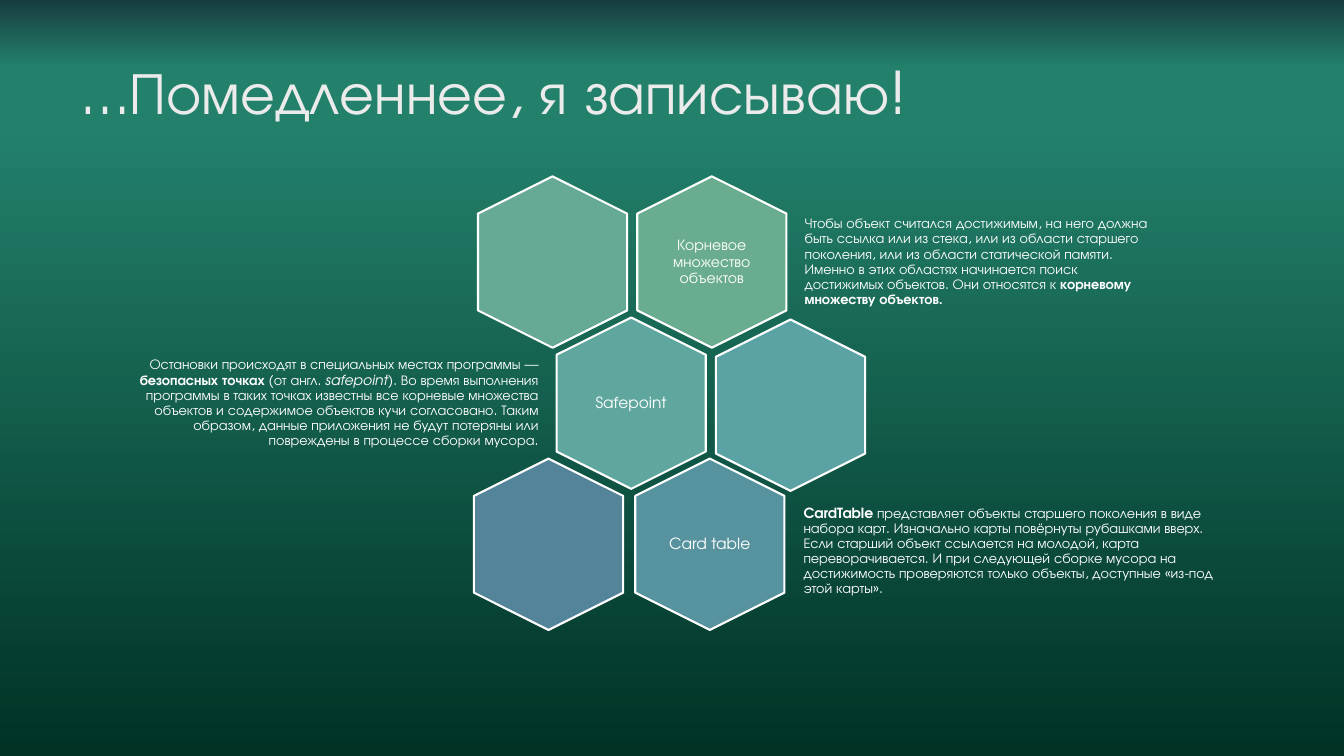
from copy import deepcopy
from pptx import Presentation
from pptx.dml.color import RGBColor
from pptx.enum.shapes import MSO_SHAPE
from pptx.enum.text import MSO_ANCHOR, MSO_AUTO_SIZE, PP_ALIGN
from pptx.oxml.ns import qn
from pptx.util import Inches, Pt

HUES = {
    "night": "173D40", "jade": "23816B", "deep": "003226",
    "title": "EBEBEB", "white": "FFFFFF",
    "root": "6AAC90", "sage": "65A996", "safe": "5FA79E",
    "aqua": "5AA2A4", "card": "57939F", "slate": "54849A",
}
WIDE, HIGH = 1.7, 1.48
TOP, STEP = 1.86, 1.4

HEXES = [
    (6.21, TOP, "root", "Корневое множество объектов"),
    (4.63, TOP, "sage", ""),
    (5.41, TOP + STEP, "safe", "Safepoint"),
    (6.99, TOP + STEP + 0.02, "aqua", ""),
    (6.19, TOP + 2 * STEP, "card", "Card table"),
    (4.59, TOP + 2 * STEP, "slate", ""),
]

NOTES = [
    (7.94, 2.09, 3.55, PP_ALIGN.LEFT, [
        ("Чтобы объект считался достижимым, на него должна быть ссылка или из стека, "
         "или из области старшего поколения, или из области статической памяти. "
         "Именно в этих областях начинается поиск достижимых объектов. "
         "Они относятся к ", ""),
        ("корневому множеству объектов.", "b")]),
    (1.16, 3.49, 4.22, PP_ALIGN.RIGHT, [
        ("Остановки происходят в специальных местах программы — ", ""),
        ("безопасных точках", "b"),
        (" (от англ. ", ""),
        ("safepoint", "i"),
        ("). Во время выполнения программы в таких точках известны все корневые "
         "множества объектов и содержимое объектов кучи согласовано. Таким образом, "
         "данные приложения не будут потеряны или повреждены в процессе сборки "
         "мусора.", "")]),
    (7.93, 4.96, 4.28, PP_ALIGN.LEFT, [
        ("CardTable ", "b"),
        ("представляет объекты старшего поколения в виде набора карт. Изначально "
         "карты повёрнуты рубашками вверх. Если старший объект ссылается на молодой, "
         "карта переворачивается. И при следующей сборке мусора на достижимость "
         "проверяются только объекты, доступные «из-под этой карты».", "")]),
]


class Deck:
    """Holds the style and the current slide."""

    font = "TeX Gyre Adventor"

    def __init__(self):
        self.show = Presentation()
        self.show.slide_width = Inches(13.33)
        self.show.slide_height = Inches(7.5)
        self.slide = self.show.slides.add_slide(self.show.slide_layouts[5])

    def tint(self, name):
        return RGBColor.from_string(HUES[name])

    def back(self, stops):
        fill = self.slide.background.fill
        fill.gradient()
        fill.gradient_angle = 270
        group = next(self.slide.element.iter(qn("a:gsLst")))
        while len(group) < len(stops):
            group.append(deepcopy(group[0]))
        for stop, (place, name) in zip(fill.gradient_stops, stops):
            stop.position = place
            stop.color.rgb = self.tint(name)

    def runs(self, para, parts, size, hue="white"):
        for text, style in parts:
            run = para.add_run()
            run.text = text
            font = run.font
            font.name, font.size = self.font, Pt(size)
            font.bold, font.italic = style == "b", style == "i"
            font.color.rgb = self.tint(hue)

    def title(self, text, left, top, wide, high):
        head = self.slide.shapes.title
        head.left, head.top = Inches(left), Inches(top)
        head.width, head.height = Inches(wide), Inches(high)
        frame = head.text_frame
        frame.word_wrap = True
        frame.auto_size = MSO_AUTO_SIZE.NONE
        frame.vertical_anchor = MSO_ANCHOR.TOP
        para = frame.paragraphs[0]
        para.alignment = PP_ALIGN.LEFT
        self.runs(para, [(text, "")], 42, "title")

    def text(self, left, top, wide, high, align, parts, size, inset):
        box = self.slide.shapes.add_textbox(
            Inches(left), Inches(top), Inches(wide), Inches(high))
        frame = box.text_frame
        frame.word_wrap = True
        frame.vertical_anchor = MSO_ANCHOR.MIDDLE
        frame.margin_left = frame.margin_right = Inches(inset)
        frame.margin_top = frame.margin_bottom = Inches(inset)
        para = frame.paragraphs[0]
        para.alignment = align
        para.line_spacing = 0.9
        self.runs(para, parts, size)

    def hexa(self, left, top, hue, label):
        cell = self.slide.shapes.add_shape(
            MSO_SHAPE.HEXAGON, Inches(left), Inches(top), Inches(WIDE), Inches(HIGH))
        cell.adjustments[0] = 0.25
        cell.rotation = 90
        cell.shadow.inherit = False
        cell.fill.solid()
        cell.fill.fore_color.rgb = self.tint(hue)
        cell.line.color.rgb = self.tint("white")
        cell.line.width = Pt(1.5)
        if label:
            wide, high = 1.02, 1.17
            self.text(left + (WIDE - wide) / 2, top + (HIGH - high) / 2, wide, high,
                      PP_ALIGN.CENTER, [(label, "")], 11, 0.05)

    def note(self, left, top, wide, align, parts):
        self.text(left, top, wide, 1.02, align, parts, 10, 0.04)


def main():
    deck = Deck()
    deck.back([(0, "night"), (0.09, "jade"), (0.16, "jade"), (1, "deep")])
    deck.title("…Помедленнее, я записываю!", 0.71, 0.5, 10.29, 1.53)
    for cell in HEXES:
        deck.hexa(*cell)
    for note in NOTES:
        deck.note(*note)
    deck.show.save("out.pptx")


if __name__ == "__main__":
    main()
